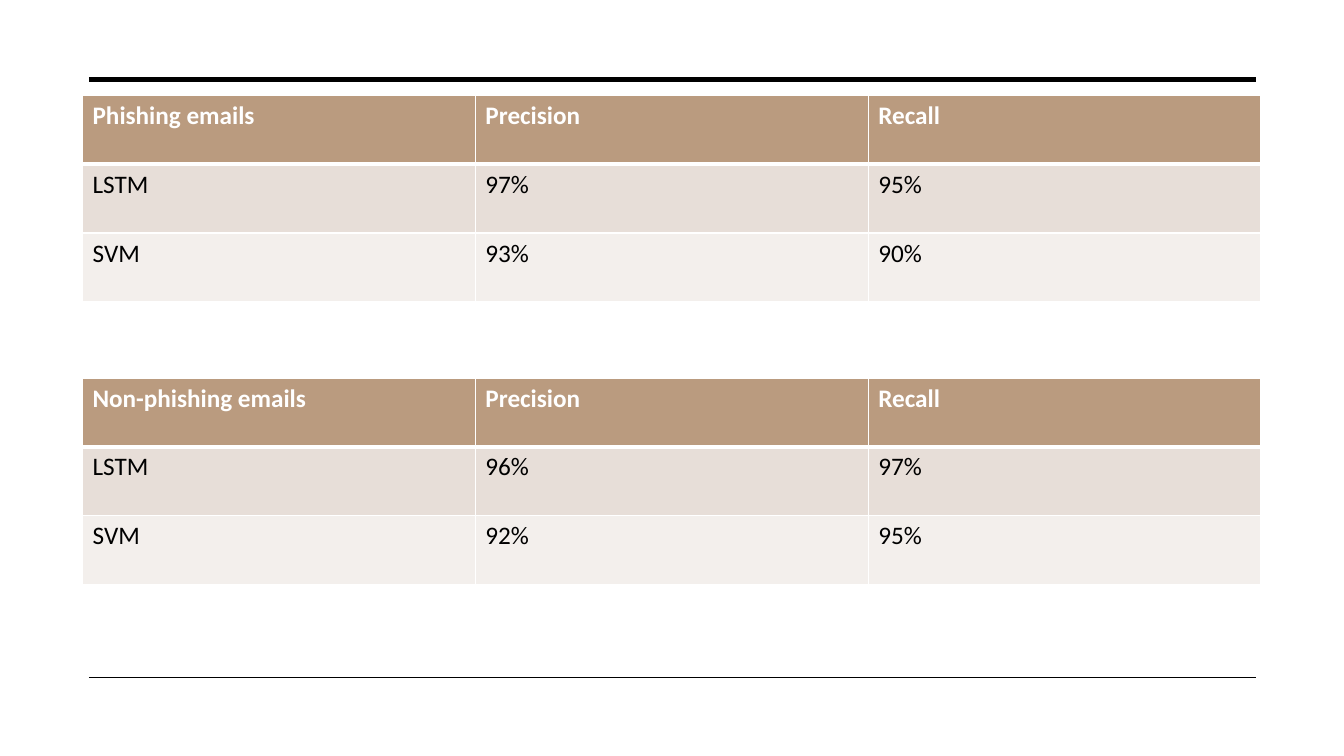
from dataclasses import dataclass

from lxml import etree
from pptx import Presentation
from pptx.dml.color import RGBColor
from pptx.enum.shapes import MSO_CONNECTOR
from pptx.oxml.ns import qn
from pptx.slide import Slide
from pptx.table import _Cell
from pptx.util import Cm, Pt

STRAIGHT = MSO_CONNECTOR.STRAIGHT
FONT = "Calibri"
HUES = {
    "black": "000000",
    "white": "FFFFFF",
    "head": "BA9B7F",
    "odd": "E7DED8",
    "even": "F3EFEC",
}
FILLS = ("head", "odd", "even")
LEFT, WIDE, HIGH = 2.08, 9.9, 1.73


@dataclass
class Rule:
    top: float
    width: float


@dataclass
class Grid:
    top: float
    rows: list[tuple[str, str, str]]


RULES = [Rule(2.01, 3.5), Rule(17.07, 1)]
GRIDS = [
    Grid(2.41, [
        ("Phishing emails", "Precision", "Recall"),
        ("LSTM", "97%", "95%"),
        ("SVM", "93%", "90%"),
    ]),
    Grid(9.53, [
        ("Non-phishing emails", "Precision", "Recall"),
        ("LSTM", "96%", "97%"),
        ("SVM", "92%", "95%"),
    ]),
]


def tint(name: str) -> RGBColor:
    return RGBColor.from_string(HUES[name])


def draw_rule(slide: Slide, rule: Rule) -> None:
    line = slide.shapes.add_connector(
        STRAIGHT, Cm(2.24), Cm(rule.top), Cm(31.65), Cm(rule.top))
    line.line.color.rgb = tint("black")
    line.line.width = Pt(rule.width)
    etree.SubElement(line._element.spPr, qn("a:effectLst"))


def edge_cell(cell: _Cell, row: int) -> None:
    props = cell._tc.get_or_add_tcPr()
    sizes = {"L": 1, "R": 1, "T": 3 if row == 1 else 1, "B": 3 if row == 0 else 1}
    for side, size in sizes.items():
        edge = etree.SubElement(props, qn(f"a:ln{side}"), w=str(Pt(size)))
        fill = etree.SubElement(edge, qn("a:solidFill"))
        etree.SubElement(fill, qn("a:srgbClr"), val=HUES["white"])


def fill_cell(cell: _Cell, text: str, row: int) -> None:
    edge_cell(cell, row)
    cell.fill.solid()
    cell.fill.fore_color.rgb = tint(FILLS[row])
    run = cell.text_frame.paragraphs[0].add_run()
    run.text = text
    run.font.name = FONT
    run.font.size = Pt(18)
    run.font.bold = row == 0
    run.font.color.rgb = tint("white" if row == 0 else "black")


def draw_grid(slide: Slide, grid: Grid) -> None:
    count, span = len(grid.rows), len(grid.rows[0])
    table = slide.shapes.add_table(
        count, span, Cm(LEFT), Cm(grid.top),
        Cm(WIDE * span), Cm(HIGH * count)).table
    for col in table.columns:
        col.width = Cm(WIDE)
    for row, texts in enumerate(grid.rows):
        table.rows[row].height = Cm(HIGH)
        for col, text in enumerate(texts):
            fill_cell(table.cell(row, col), text, row)


def main() -> None:
    deck = Presentation()
    deck.slide_width, deck.slide_height = Cm(33.87), Cm(19.05)
    slide = deck.slides.add_slide(deck.slide_layouts[6])
    for rule in RULES:
        draw_rule(slide, rule)
    for grid in GRIDS:
        draw_grid(slide, grid)
    deck.save("out.pptx")


if __name__ == "__main__":
    main()
